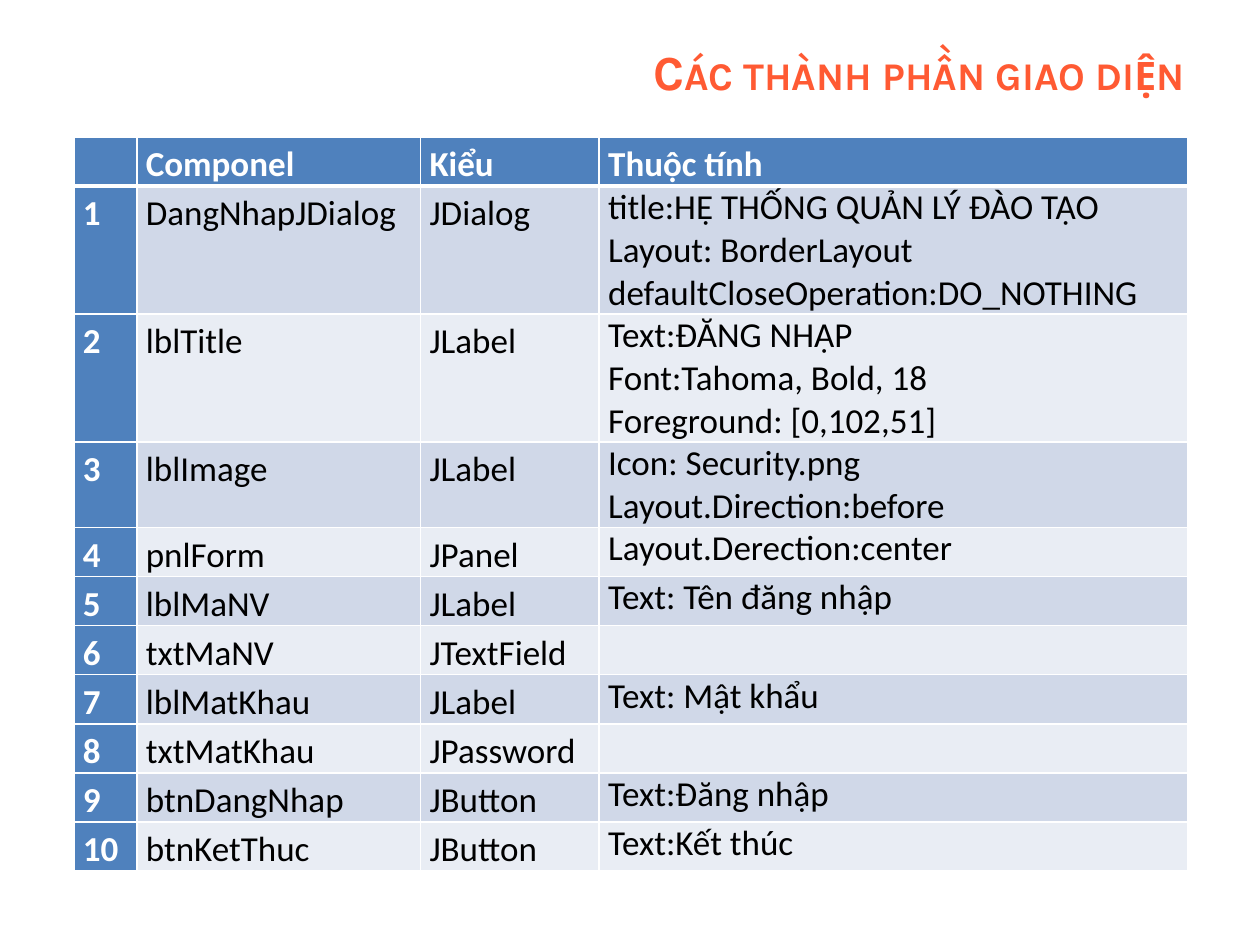
from dataclasses import dataclass

from lxml import etree
from pptx import Presentation
from pptx import util as u
from pptx.dml.color import RGBColor
from pptx.enum import text
from pptx.oxml import ns

COLORS = {
    "title": "FF5A33",
    "header": "4F81BD",
    "odd": "D0D8E8",
    "even": "E9EDF4",
    "white": "FFFFFF",
    "black": "000000",
}
COLUMN_WIDTHS = (1.27, 5.72, 3.6, 11.86)
LINE_HEIGHT = 0.86
MIN_ROW_HEIGHT = 0.99
INSET = 0.18


@dataclass(frozen=True)
class Component:
    name: str
    kind: str
    properties: tuple[str, ...] = ()


HEADINGS = ("", "Componel", "Kiểu", "Thuộc tính")
COMPONENTS = (
    Component("DangNhapJDialog", "JDialog", (
        "title:HỆ THỐNG QUẢN LÝ ĐÀO TẠO",
        "Layout: BorderLayout",
        "defaultCloseOperation:DO_NOTHING",
    )),
    Component("lblTitle", "JLabel", (
        "Text:ĐĂNG NHẬP",
        "Font:Tahoma, Bold, 18",
        "Foreground: [0,102,51]",
    )),
    Component("lblImage", "JLabel", ("Icon: Security.png", "Layout.Direction:before")),
    Component("pnlForm", "JPanel", ("Layout.Derection:center",)),
    Component("lblMaNV", "JLabel", ("Text: Tên đăng nhập",)),
    Component("txtMaNV", "JTextField"),
    Component("lblMatKhau", "JLabel", ("Text: Mật khẩu",)),
    Component("txtMatKhau", "JPassword"),
    Component("btnDangNhap", "JButton", ("Text:Đăng nhập",)),
    Component("btnKetThuc", "JButton", ("Text:Kết thúc",)),
)


def rgb(name: str) -> RGBColor:
    return RGBColor.from_string(COLORS[name])


def add_run(paragraph, content: str, font_name: str, size: int, color: str, bold: bool):
    run = paragraph.add_run()
    run.text = content
    run.font.name = font_name
    run.font.size = u.Pt(size)
    run.font.bold = bold
    run.font.color.rgb = rgb(color)
    return run


def add_title(slide, content: str) -> None:
    shape = slide.shapes.add_textbox(u.Cm(5.72), u.Cm(0.76), u.Cm(18.41), u.Cm(1.35))
    frame = shape.text_frame
    frame.word_wrap = True
    frame.vertical_anchor = text.MSO_ANCHOR.MIDDLE
    paragraph = frame.paragraphs[0]
    paragraph.alignment = text.PP_ALIGN.RIGHT
    run = add_run(paragraph, content, "Karla", 28, "title", True)
    run.font._element.set("cap", "small")


def set_borders(cell, top: int, bottom: int) -> None:
    properties = cell._tc.get_or_add_tcPr()
    for side, points in (("L", 1), ("R", 1), ("T", top), ("B", bottom)):
        line = etree.SubElement(properties, ns.qn(f"a:ln{side}"), w=str(u.Pt(points)))
        fill = etree.SubElement(line, ns.qn("a:solidFill"))
        etree.SubElement(fill, ns.qn("a:srgbClr"), val=COLORS["white"])


def fill_cell(cell, lines: tuple[str, ...], fill: str, color: str, bold: bool, spaced: bool) -> None:
    cell.fill.solid()
    cell.fill.fore_color.rgb = rgb(fill)
    cell.margin_left = cell.margin_right = u.Cm(INSET)
    cell.margin_top = cell.margin_bottom = 0
    for index, content in enumerate(lines):
        frame = cell.text_frame
        paragraph = frame.add_paragraph() if index else frame.paragraphs[0]
        paragraph.alignment = text.PP_ALIGN.JUSTIFY
        if spaced:
            paragraph.line_spacing = 1.15
            paragraph.space_before = paragraph.space_after = u.Pt(6)
        if content:
            add_run(paragraph, content, "Calibri", 20, color, bold)


def add_component_table(slide) -> None:
    rows = [tuple((heading,) for heading in HEADINGS)]
    for number, component in enumerate(COMPONENTS, 1):
        rows.append(((str(number),), (component.name,), (component.kind,), component.properties))
    heights = [max(MIN_ROW_HEIGHT, LINE_HEIGHT * len(row[-1])) for row in rows]
    table = slide.shapes.add_table(
        len(rows), len(HEADINGS), u.Cm(1.49), u.Cm(2.76),
        u.Cm(sum(COLUMN_WIDTHS)), u.Cm(sum(heights)),
    ).table
    for column, width in zip(table.columns, COLUMN_WIDTHS):
        column.width = u.Cm(width)
    for row_index, row in enumerate(rows):
        table.rows[row_index].height = u.Cm(heights[row_index])
        band = "odd" if row_index % 2 else "even"
        for column_index, lines in enumerate(row):
            cell = table.cell(row_index, column_index)
            heading = row_index == 0 or column_index == 0
            spaced = row_index == 0 or column_index < len(row) - 1
            set_borders(cell, 3 if row_index == 1 else 1, 3 if row_index == 0 else 1)
            fill_cell(
                cell, lines, "header" if heading else band,
                "white" if heading else "black", heading, spaced,
            )


def main() -> None:
    presentation = Presentation()
    presentation.slide_width = u.Cm(25.4)
    presentation.slide_height = u.Cm(19.05)
    slide = presentation.slides.add_slide(presentation.slide_layouts[6])
    add_title(slide, "Các thành phần giao diện")
    add_component_table(slide)
    presentation.save("out.pptx")


if __name__ == "__main__":
    main()
